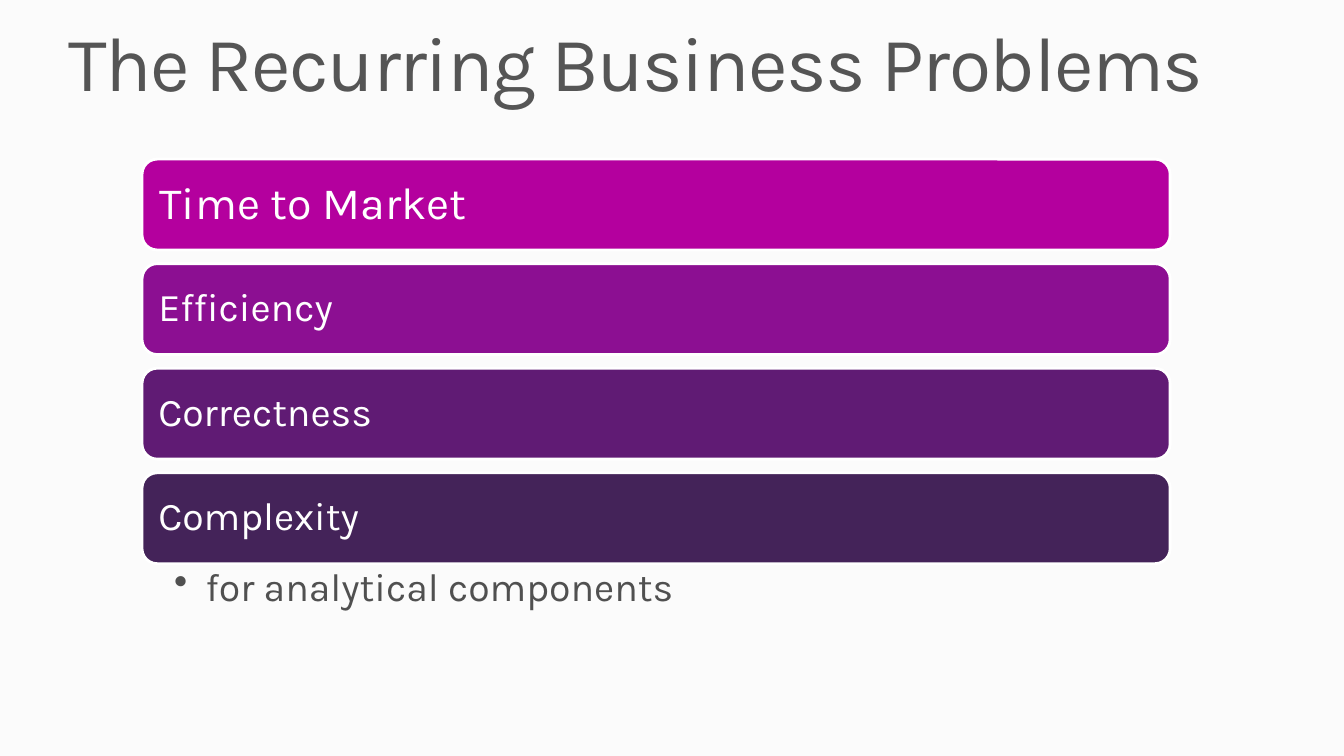
from dataclasses import dataclass

from lxml import etree
from pptx import Presentation
from pptx.dml.color import RGBColor
from pptx.enum import shapes as sh, text as tx
from pptx.oxml import ns
from pptx.util import Cm, Pt

FONT = "Karla"
PAPER = RGBColor(0xFB, 0xFB, 0xFB)
WHITE = RGBColor(0xFF, 0xFF, 0xFF)
GREY = RGBColor(0x55, 0x55, 0x55)
DARK = RGBColor(0x50, 0x50, 0x50)
PINK = RGBColor(0xB4, 0x00, 0x9E)
PURPLE = RGBColor(0x8C, 0x0F, 0x92)
VIOLET = RGBColor(0x60, 0x1B, 0x74)
PLUM = RGBColor(0x44, 0x23, 0x59)

# Bar grid, in centimetres
LEFT, TOP, WIDTH, HEIGHT, PITCH = 3.58, 4.01, 25.91, 2.29, 2.635


@dataclass
class Bar:
    label: str
    fill: RGBColor
    size: int = 28
    inset: float = 0.3


BARS = [
    Bar("Time to Market", PINK, 32, 0.33),
    Bar("Efficiency", PURPLE),
    Bar("Correctness", VIOLET),
    Bar("Complexity", PLUM),
]


def set_frame(frame, left: float, top: float, right: float, anchor) -> None:
    frame.word_wrap = True
    frame.auto_size = tx.MSO_AUTO_SIZE.NONE
    frame.vertical_anchor = anchor
    frame.margin_left, frame.margin_right = Cm(left), Cm(right)
    frame.margin_top = frame.margin_bottom = Cm(top)


def add_run(para, words: str, size: int, color: RGBColor):
    para.alignment = tx.PP_ALIGN.LEFT
    para.line_spacing = 0.9
    run = para.add_run()
    run.text = words
    run.font.name = FONT
    run.font.size = Pt(size)
    run.font.color.rgb = color
    return run


def add_title(slide) -> None:
    title = slide.shapes.title
    title.left, title.top = Cm(1.73), Cm(0.64)
    title.width, title.height = Cm(30.38), Cm(2.11)
    frame = title.text_frame
    set_frame(frame, 0, 0, 0, tx.MSO_ANCHOR.TOP)
    run = add_run(frame.paragraphs[0], "The Recurring Business Problems", 55, GREY)
    run.font._element.set("spc", "-100")


def add_bar(slide, bar: Bar, top: float) -> None:
    box = slide.shapes.add_shape(
        sh.MSO_SHAPE.ROUNDED_RECTANGLE, Cm(LEFT), Cm(top), Cm(WIDTH), Cm(HEIGHT)
    )
    box.shadow.inherit = False
    box.fill.solid()
    box.fill.fore_color.rgb = bar.fill
    box.line.color.rgb = WHITE
    box.line.width = Pt(2)
    frame = box.text_frame
    set_frame(frame, bar.inset, bar.inset, bar.inset, tx.MSO_ANCHOR.MIDDLE)
    add_run(frame.paragraphs[0], bar.label, bar.size, WHITE)


def add_note(slide, top: float) -> None:
    box = slide.shapes.add_textbox(Cm(LEFT), Cm(top), Cm(WIDTH), Cm(2.03))
    frame = box.text_frame
    set_frame(frame, 0.81, 0.1, 0.56, tx.MSO_ANCHOR.TOP)
    para = frame.paragraphs[0]
    para.level = 1
    props = para._p.get_or_add_pPr()
    props.set("marL", str(Cm(0.79)))
    props.set("indent", str(Cm(-0.79)))
    etree.SubElement(props, ns.qn("a:buChar")).set("char", "•")
    add_run(para, "for analytical components", 28, DARK)


def main() -> None:
    deck = Presentation()
    deck.slide_width, deck.slide_height = Cm(33.87), Cm(19.05)
    slide = deck.slides.add_slide(deck.slide_layouts[5])
    slide.background.fill.solid()
    slide.background.fill.fore_color.rgb = PAPER

    # Title
    add_title(slide)

    # Stack of problems
    for row, bar in enumerate(BARS):
        add_bar(slide, bar, TOP + row * PITCH)

    # Bullet under the last bar
    add_note(slide, TOP + (len(BARS) - 1) * PITCH + HEIGHT)

    deck.save("out.pptx")


if __name__ == "__main__":
    main()
